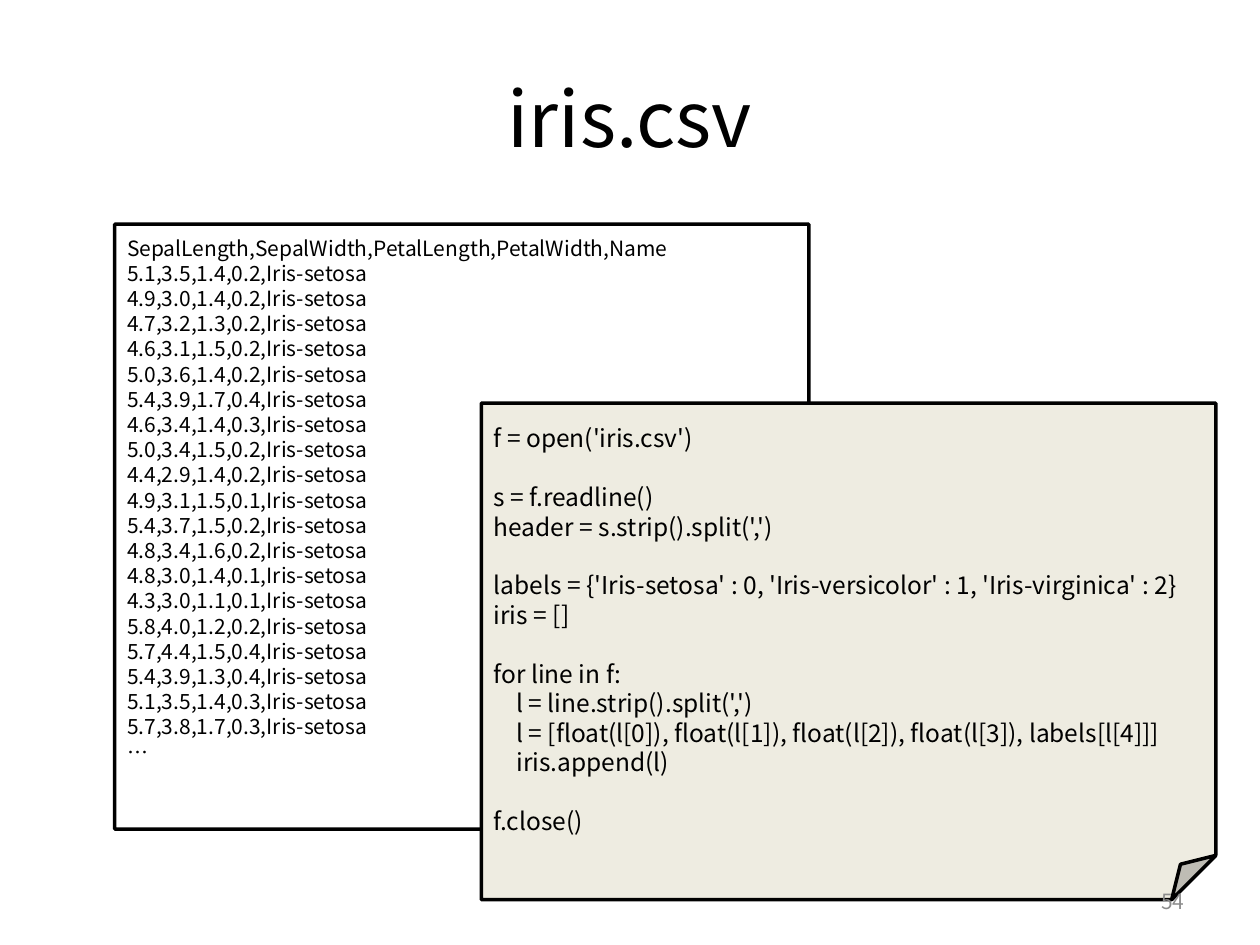
"""Build a slide showing the iris.csv data and the code that reads it."""
from dataclasses import dataclass

from lxml.etree import SubElement
from pptx import Presentation
from pptx.dml.color import RGBColor
from pptx.enum.shapes import MSO_SHAPE
from pptx.enum.text import MSO_ANCHOR, PP_ALIGN
from pptx.oxml.ns import qn
from pptx.util import Inches, Pt


@dataclass(frozen=True)
class Theme:
    font: str = "Noto Sans CJK KR"
    ink: RGBColor = RGBColor(0x00, 0x00, 0x00)
    muted: RGBColor = RGBColor(0x8C, 0x8C, 0x8C)
    paper: RGBColor = RGBColor(0xFF, 0xFF, 0xFF)
    code_paper: RGBColor = RGBColor(0xEE, 0xEC, 0xE1)
    title_size: int = 44
    code_size: int = 14
    small_size: int = 12
    line_height: float = 1.2
    outline: int = 2


theme = Theme()


def write_text(shape, text, size, color=theme.ink, align=PP_ALIGN.LEFT):
    frame = shape.text_frame
    frame.word_wrap = True
    frame.vertical_anchor = MSO_ANCHOR.MIDDLE
    paragraph = None
    gap = 0
    for line in text.splitlines():
        if not line:
            gap = size * theme.line_height
            continue
        paragraph = frame.paragraphs[0] if paragraph is None else frame.add_paragraph()
        paragraph.alignment = align
        paragraph.line_spacing = Pt(size * theme.line_height)
        paragraph.space_before = Pt(gap)
        gap = 0
        if line.startswith(" "):
            properties = paragraph._p.get_or_add_pPr()
            properties.set("marL", str(Inches(0.18)))
            properties.set("indent", "0")
        run = paragraph.add_run()
        run.text = line.strip()
        run.font.size = Pt(size)
        run.font.name = theme.font
        run.font.color.rgb = color
        SubElement(run._r.get_or_add_rPr(), qn("a:ea"), typeface=theme.font)


presentation = Presentation()
presentation.slide_width = Inches(10)
presentation.slide_height = Inches(7.5)
slide = presentation.slides.add_slide(presentation.slide_layouts[6])

measurements = """5.1,3.5,1.4,0.2
4.9,3.0,1.4,0.2
4.7,3.2,1.3,0.2
4.6,3.1,1.5,0.2
5.0,3.6,1.4,0.2
5.4,3.9,1.7,0.4
4.6,3.4,1.4,0.3
5.0,3.4,1.5,0.2
4.4,2.9,1.4,0.2
4.9,3.1,1.5,0.1
5.4,3.7,1.5,0.2
4.8,3.4,1.6,0.2
4.8,3.0,1.4,0.1
4.3,3.0,1.1,0.1
5.8,4.0,1.2,0.2
5.7,4.4,1.5,0.4
5.4,3.9,1.3,0.4
5.1,3.5,1.4,0.3
5.7,3.8,1.7,0.3""".splitlines()
csv_text = "\n".join(
    ["SepalLength,SepalWidth,PetalLength,PetalWidth,Name"]
    + [f"{row},Iris-setosa" for row in measurements]
    + ["…"]
)
code_text = """f = open('iris.csv')

s = f.readline()
header = s.strip().split(',')

labels = {'Iris-setosa' : 0, 'Iris-versicolor' : 1, 'Iris-virginica' : 2}
iris = []

for line in f:
    l = line.strip().split(',')
    l = [float(l[0]), float(l[1]), float(l[2]), float(l[3]), labels[l[4]]]
    iris.append(l)

f.close()"""

title = slide.shapes.add_textbox(Inches(0.5), Inches(0.3), Inches(9), Inches(1.25))
write_text(title, "iris.csv", size=theme.title_size, align=PP_ALIGN.CENTER)

notes = [
    ((0.91, 1.78, 5.51, 4.8), theme.paper, csv_text, theme.small_size),
    ((3.82, 3.2, 5.83, 3.94), theme.code_paper, code_text, theme.code_size),
]
for box, fill, text, size in notes:
    note = slide.shapes.add_shape(MSO_SHAPE.FOLDED_CORNER, *map(Inches, box))
    fold = note._element.spPr.find(".//" + qn("a:avLst"))
    SubElement(fold, qn("a:gd"), name="adj", fmla="val 8900")
    note.shadow.inherit = False
    note.fill.solid()
    note.fill.fore_color.rgb = fill
    note.line.color.rgb = theme.ink
    note.line.width = Pt(theme.outline)
    write_text(note, text, size=size)

page_number = slide.shapes.add_textbox(Inches(7.17), Inches(6.95), Inches(2.33), Inches(0.4))
write_text(page_number, "54", size=theme.small_size, color=theme.muted, align=PP_ALIGN.RIGHT)

presentation.save("out.pptx")
